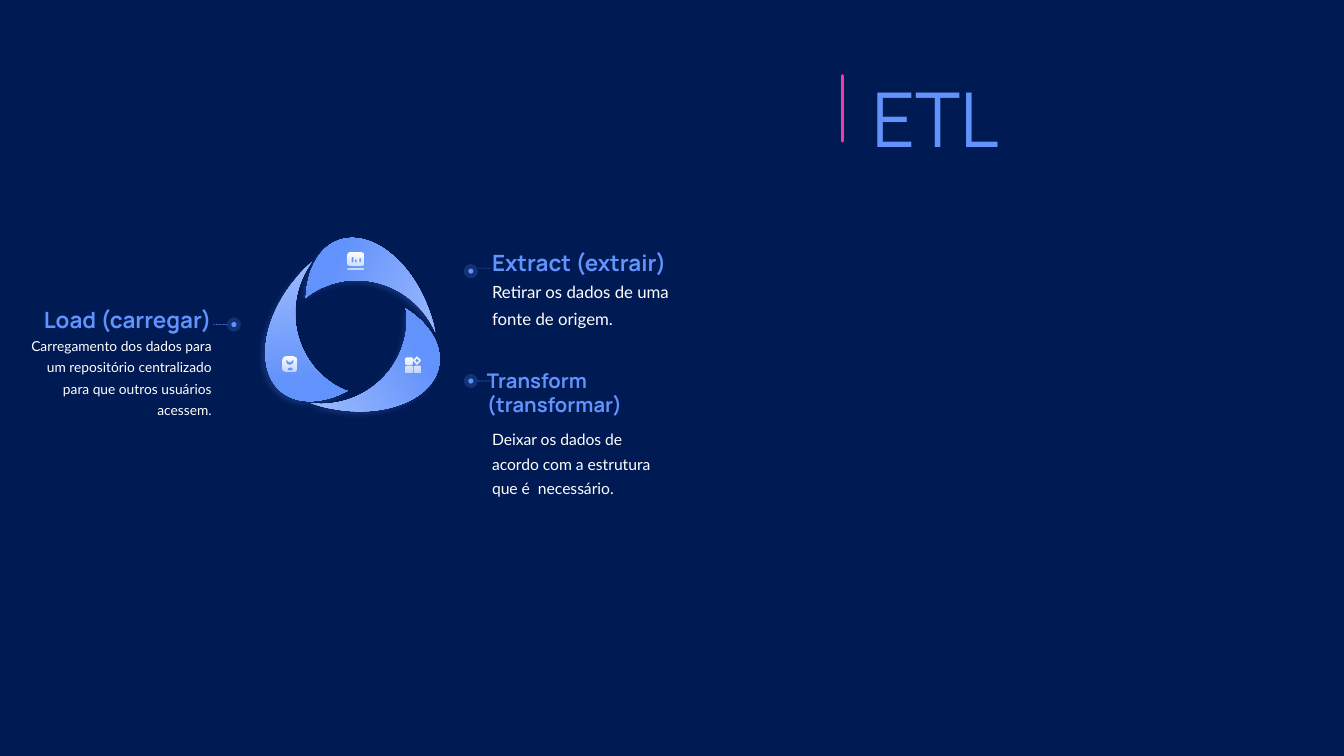
from dataclasses import dataclass

from pptx import Presentation
from pptx.dml.color import RGBColor
from pptx.enum import dml, shapes, text
from pptx.oxml import parse_xml
from pptx.oxml.ns import nsdecls
from pptx.util import Inches, Pt


@dataclass(frozen=True)
class Theme:
    navy: str = "001A54"
    blue: str = "6292FB"
    pale: str = "A1BEFD"
    pink: str = "F43AA9"
    white: str = "FFFFFF"
    heading: str = "Manrope"
    body: str = "Lato"
    title_size: float = 54


@dataclass(frozen=True)
class Callout:
    heading: str
    body: str
    heading_at: tuple
    body_at: tuple
    body_height: float
    heading_size: float
    body_size: float
    dot_at: tuple
    line_y: float
    on_left: bool = False


THEME = Theme()
TEXT_WIDTH, HEADING_HEIGHT = 1.79, 0.45
HALO, DOT, LEADER = 0.14, 0.05, 0.14
UNITS = 1000  # outline units per inch

CALLOUTS = [
    Callout("Extract (extrair)", "Retirar os dados de uma fonte de origem.",
            (4.88, 2.29), (4.88, 2.74), 0.67, 16, 12, (4.67, 2.69), 2.66),
    Callout("Transform (transformar)",
            "Deixar os dados de acordo com a estrutura que é  necessário.",
            (4.83, 3.68), (4.88, 4.21), 0.83, 14.4, 11.2, (4.67, 3.78), 3.78),
    Callout("Load (carregar)",
            "Carregamento dos dados para um repositório centralizado "
            "para que outros usuários acessem.",
            (0.31, 2.85), (0.31, 3.3), 0.92, 16, 9.8, (2.32, 3.22), 3.22, on_left=True),
]

# A contour is a list of segments: (end,) is straight, (control, control, end) is curved.
# The first segment only gives the starting point.
BLADE = [
    ((0.02, 0),),
    ((0.04, 0.38), (0.3, 0.7), (0.67, 0.79)),
    ((0.8, 0.82), (0.95, 0.82), (1.08, 0.78)),
    ((1.1, 0.77),),
    ((0.99, 1.03), (0.8, 1.19), (0.6, 1.19)),
    ((0.27, 1.19), (0, 0.77), (0, 0.25)),
    ((0, 0.19), (0, 0.13), (0.01, 0.06)),
]
BLADES = [((2.58, 2.8), 39.1), ((3.21, 2.98), 279.5), ((3.06, 2.33), 159.3)]


def rgb(color):
    return RGBColor.from_string(color)


def set_alpha(fill_element, percent):
    """Make every colour below the element partly transparent."""
    for color in fill_element.iter("{*}srgbClr"):
        color.append(parse_xml(f'<a:alpha {nsdecls("a")} val="{percent * 1000}"/>'))


def fill_gradient(fill, start, end, angle, end_position=1.0):
    """Angle in degrees, clockwise from left to right."""
    fill.gradient()
    fill.gradient_angle = -angle % 360
    first, last = fill.gradient_stops
    first.color.rgb, last.color.rgb = rgb(start), rgb(end)
    first.position, last.position = 0, end_position


def add_line(s, start, end, color, width):
    line = s.shapes.add_connector(shapes.MSO_CONNECTOR.STRAIGHT,
                                  *map(Inches, start + end))
    line.line.color.rgb = rgb(color)
    line.line.width = Pt(width)
    line._element.spPr.append(parse_xml(f'<a:effectLst {nsdecls("a")}/>'))
    return line


def add_circle(s, center, size, color):
    x, y = (c - size / 2 for c in center)
    sp = s.shapes.add_shape(shapes.MSO_SHAPE.OVAL, *map(Inches, (x, y, size, size)))
    sp.shadow.inherit = False
    sp.fill.solid()
    sp.fill.fore_color.rgb = rgb(color)
    sp.line.fill.background()


    return sp


def add_text(s, box, content, font, size, color, bold=False, right=False,
             anchor=text.MSO_ANCHOR.TOP, spacing=1.0):
    tf = s.shapes.add_textbox(*map(Inches, box)).text_frame
    tf.word_wrap = True
    tf.margin_left = tf.margin_right = tf.margin_top = tf.margin_bottom = 0
    tf.vertical_anchor = anchor
    p = tf.paragraphs[0]
    p.alignment = text.PP_ALIGN.RIGHT if right else text.PP_ALIGN.LEFT
    p.line_spacing = spacing
    r = p.add_run()
    r.text = content
    r.font.name, r.font.size, r.font.bold = font, Pt(size), bold
    r.font.color.rgb = rgb(color)


def moved(contour, x, y):
    return [tuple((x + px, y + py) for px, py in segment) for segment in contour]


def add_outline(s, contours):
    """Draw closed contours as one shape; inner contours become holes."""
    scaled = [[[(round(x * UNITS), round(y * UNITS)) for x, y in segment]
               for segment in contour] for contour in contours]
    builder = s.shapes.build_freeform(*scaled[0][0][-1], scale=Inches(1) / UNITS)
    for i, contour in enumerate(scaled):
        if i:
            builder.move_to(*contour[0][-1])
        builder.add_line_segments([segment[-1] for segment in contour[1:]], close=True)
    sp = builder.convert_to_shape()
    sp.shadow.inherit = False
    sp.line.fill.background()

    ends = [segment[-1] for contour in scaled for segment in contour]
    left, top = (min(values) for values in zip(*ends))
    segments = [segment for contour in scaled for segment in contour[1:]]
    for line, segment in zip(list(sp._element.iter("{*}lnTo")), segments):
        if len(segment) == 3:
            points = "".join(f'<a:pt x="{x - left}" y="{y - top}"/>' for x, y in segment)
            line.getparent().replace(line, parse_xml(
                f'<a:cubicBezTo {nsdecls("a")}>{points}</a:cubicBezTo>'))
    return sp


def rounded(x, y, w, h, radius):
    k = radius * 0.45
    r, b = x + w, y + h
    return [((x + radius, y),), ((r - radius, y),),
            ((r - k, y), (r, y + k), (r, y + radius)), ((r, b - radius),),
            ((r, b - k), (r - k, b), (r - radius, b)), ((x + radius, b),),
            ((x + k, b), (x, b - k), (x, b - radius)), ((x, y + radius),),
            ((x, y + k), (x + k, y), (x + radius, y))]


def diamond(cx, cy, reach):
    return [((cx + dx * reach, cy + dy * reach),)
            for dx, dy in ((0, -1), (1, 0), (0, 1), (-1, 0))]


def add_blade(s, origin, rotation):
    sp = add_outline(s, [moved(BLADE, *origin)])
    sp.rotation = rotation
    fill_gradient(sp.fill, THEME.pale, THEME.blue, 45, 0.71)
    effects = sp._element.spPr.find("{*}effectLst")
    effects.append(parse_xml(
        f'<a:outerShdw {nsdecls("a")} blurRad="{Pt(4)}" dist="{Pt(3)}" dir="8100000" '
        f'algn="tr" rotWithShape="0"><a:srgbClr val="{THEME.blue}"/></a:outerShdw>'))
    set_alpha(effects, 20)


def add_icon(s, contours):
    sp = add_outline(s, contours)
    fill_gradient(sp.fill, THEME.white, THEME.white, 90)
    set_alpha(sp.fill.gradient_stops[1]._gs, 60)


def chart_icon(x, y):
    bars = [(0.04, 0.04, 0.05), (0.07, 0.06, 0.03), (0.11, 0.05, 0.04)]
    return [rounded(x, y, 0.16, 0.12, 0.02), rounded(x, y + 0.14, 0.16, 0.02, 0.01),
            *(rounded(x + dx, y + dy, 0.02, h, 0.01) for dx, dy, h in bars)]


def bag_icon(x, y):
    handle = [((0.03, 0.04),), ((0.03, 0.09), (0.11, 0.09), (0.11, 0.04)),
              ((0.09, 0.04),), ((0.09, 0.06), (0.05, 0.06), (0.05, 0.04))]
    return [rounded(x, y, 0.14, 0.15, 0.03), moved(handle, x, y),
            rounded(x + 0.05, y + 0.11, 0.05, 0.02, 0.01)]


def tiles_icon(x, y):
    tiles = [(0, 0.01), (0, 0.09), (0.08, 0.09)]
    return [*(rounded(x + dx, y + dy, 0.07, 0.07, 0.01) for dx, dy in tiles),
            diamond(x + 0.11, y + 0.04, 0.04), diamond(x + 0.11, y + 0.04, 0.02)]


def add_callout(s, c):
    add_text(s, (*c.heading_at, TEXT_WIDTH, HEADING_HEIGHT), c.heading, THEME.heading,
             c.heading_size, THEME.blue, True, c.on_left, text.MSO_ANCHOR.BOTTOM)
    add_text(s, (*c.body_at, TEXT_WIDTH, c.body_height), c.body, THEME.body,
             c.body_size, THEME.white, right=c.on_left, spacing=1.3)
    halo = add_circle(s, c.dot_at, HALO, THEME.blue)
    set_alpha(halo._element.spPr, 20)
    add_circle(s, c.dot_at, DOT, THEME.blue)
    side = -1 if c.on_left else 1
    start = c.dot_at[0] + side * HALO / 2
    leader = add_line(s, (start, c.line_y), (start + side * LEADER, c.line_y), THEME.blue, 0.5)
    leader.line.dash_style = dml.MSO_LINE.ROUND_DOT
    set_alpha(leader._element.spPr, 80)


def add_title(s, box, content):
    x, y, w, h = box
    bar = add_line(s, (x - 0.19, y + 0.45), (x - 0.19, y + 1.1), THEME.pink, 2.25)
    bar.line._ln.set("cap", "rnd")
    title = s.shapes.title
    title.left, title.top, title.width, title.height = map(Inches, box)
    tf = title.text_frame
    tf.auto_size = text.MSO_AUTO_SIZE.NONE
    tf.vertical_anchor = text.MSO_ANCHOR.BOTTOM
    p = tf.paragraphs[0]
    p.alignment = text.PP_ALIGN.LEFT
    p.line_spacing = 0.9
    r = p.add_run()
    r.text = content
    r.font.name, r.font.size = THEME.heading, Pt(THEME.title_size)
    fill_gradient(r.font.fill, THEME.blue, THEME.pink, 0)


def main():
    prs = Presentation()
    prs.slide_width, prs.slide_height = Inches(13.33), Inches(7.5)
    s = prs.slides.add_slide(prs.slide_layouts[5])
    s.background.fill.solid()
    s.background.fill.fore_color.rgb = rgb(THEME.navy)
    add_title(s, (8.55, 0.3, 4.69, 1.38), "ETL")
    for origin, rotation in BLADES:
        add_blade(s, origin, rotation)
    for icon in (chart_icon(3.45, 2.51), bag_icon(2.8, 3.54), tiles_icon(4.02, 3.54)):
        add_icon(s, icon)
    for callout in CALLOUTS:
        add_callout(s, callout)
    prs.save("out.pptx")


if __name__ == "__main__":
    main()
